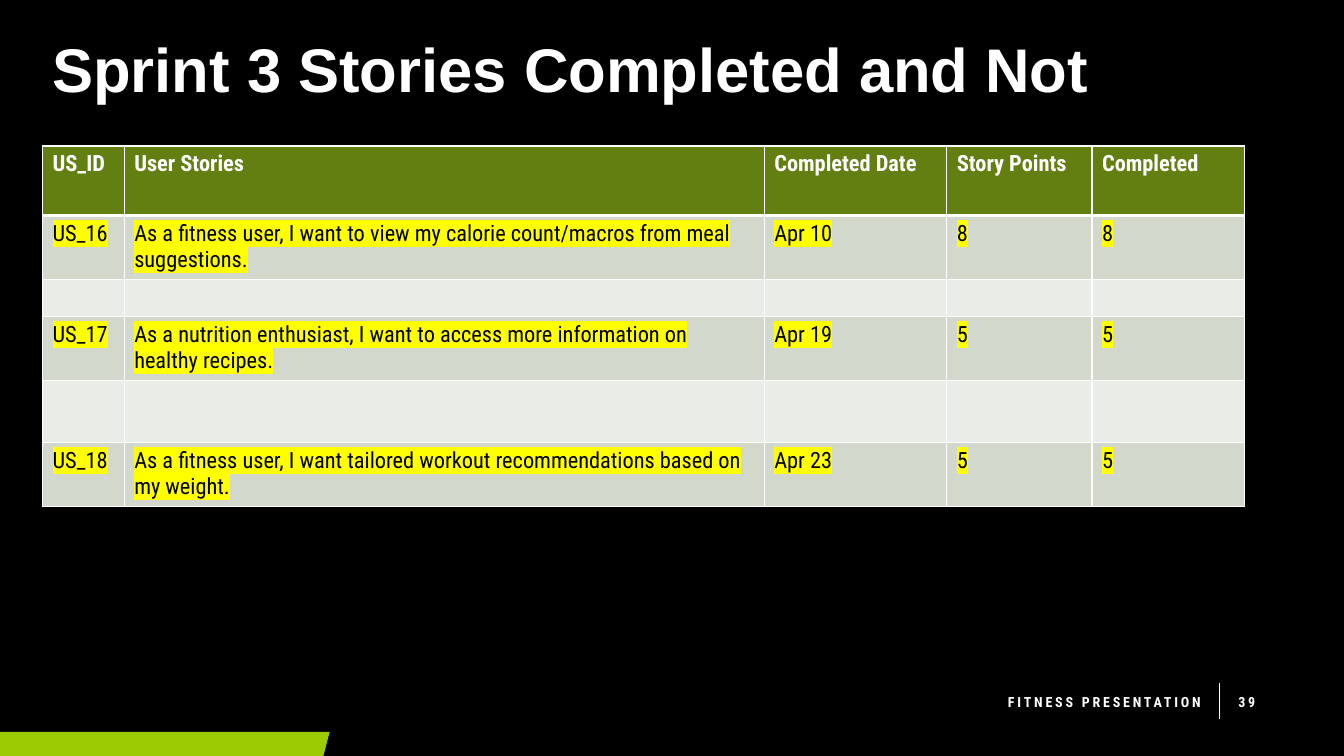
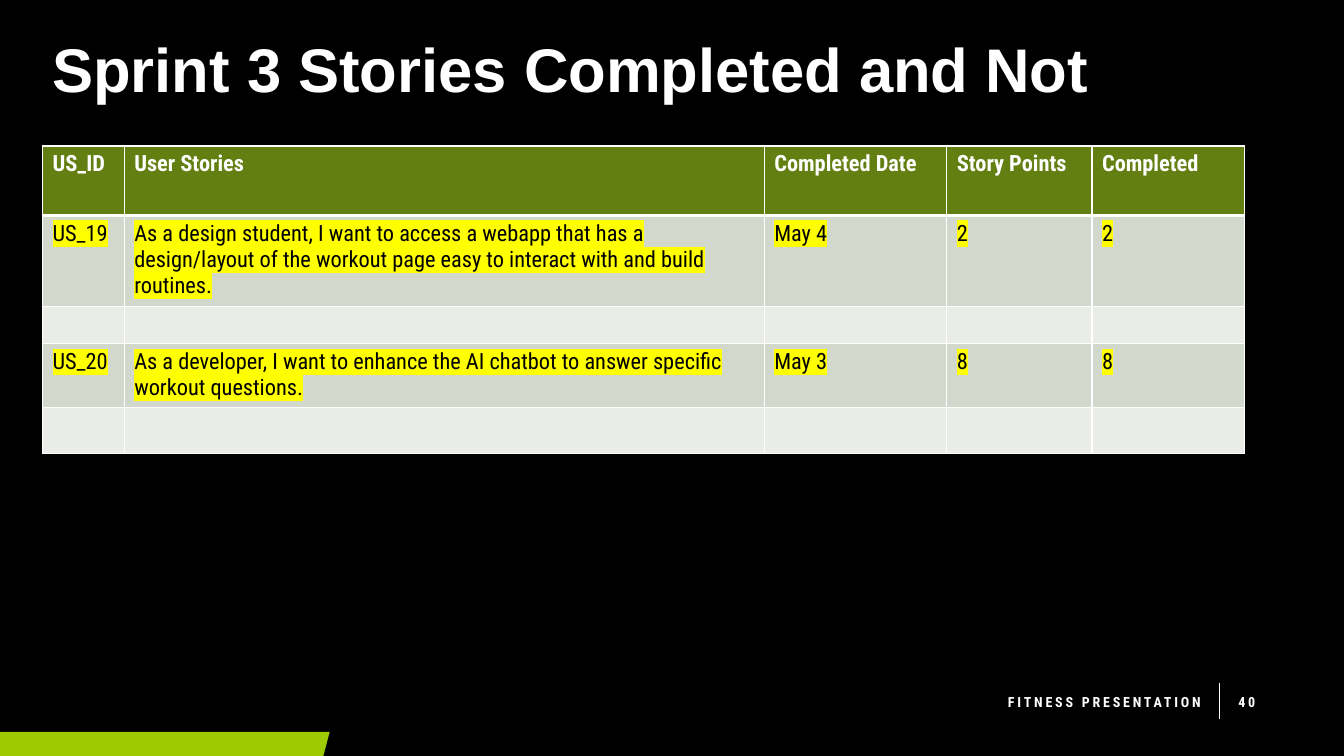
import dataclasses

import lxml.etree
import pptx
import pptx.dml.color
import pptx.enum.shapes
import pptx.enum.text
import pptx.oxml.ns
import pptx.slide
import pptx.table
import pptx.text.text
import pptx.util

Cm = pptx.util.Cm
Pt = pptx.util.Pt
RGBColor = pptx.dml.color.RGBColor
Align = pptx.enum.text.PP_ALIGN
qn = pptx.oxml.ns.qn

BLACK = RGBColor(0x00, 0x00, 0x00)
WHITE = RGBColor(0xFF, 0xFF, 0xFF)
LIME = RGBColor(0x9C, 0xCA, 0x03)
OLIVE = RGBColor(0x63, 0x7F, 0x12)
SAGE = RGBColor(0xD3, 0xD8, 0xCC)
PALE = RGBColor(0xEA, 0xEC, 0xE7)
YELLOW = RGBColor(0xFF, 0xFF, 0x00)

HEAD_FONT = "Arial"
BODY_FONT = "Roboto Condensed"
TITLE = "Sprint 3 Stories Completed and Not"
FOOTER = "FITNESS PRESENTATION"
HEADS = ("US_ID", "User Stories", "Completed Date", "Story Points", "Completed")
WIDTHS = (2.06, 16.13, 4.6, 3.66, 3.84)
LEFT = 1.07
TOP = 3.68


@dataclasses.dataclass(frozen=True)
class Style:
    size: float
    color: RGBColor
    font: str = BODY_FONT
    bold: bool = True
    space: int = 0
    mark: RGBColor | None = None


@dataclasses.dataclass(frozen=True)
class Box:
    left: float
    top: float
    width: float
    height: float


@dataclasses.dataclass(frozen=True)
class Row:
    height: float
    texts: tuple[str, ...] = ("",) * len(HEADS)
    fill: RGBColor = PALE
    rule: float = 1


@dataclasses.dataclass(frozen=True)
class Page:
    number: int
    rows: tuple[Row, ...]


TITLE_STYLE = Style(44, WHITE, HEAD_FONT)
FOOT_STYLE = Style(10, WHITE, space=200)
HEAD_STYLE = Style(16, WHITE)
STORY_STYLE = Style(16, BLACK, bold=False, mark=YELLOW)


def story(height: float, code: str, text: str, date: str, points: str) -> Row:
    return Row(height, (code, text, date, points, points), SAGE)


HEAD_ROW = Row(1.75, HEADS, OLIVE, 3)
PAGES = (
    Page(39, (
        story(1.57, "US_16", "As a fitness user, I want to view my calorie count/macros "
              "from meal suggestions.", "Apr 10", "8"),
        Row(0.92),
        story(1.57, "US_17", "As a nutrition enthusiast, I want to access more information "
              "on healthy recipes.", "Apr 19", "5"),
        Row(1.57),
        story(1.57, "US_18", "As a fitness user, I want tailored workout recommendations "
              "based on my weight.", "Apr 23", "5"),
    )),
    Page(40, (
        story(2.23, "US_19", "As a design student, I want to access a webapp that has a "
              "design/layout of the workout page easy to interact with and build routines.",
              "May 4", "2"),
        Row(0.94),
        story(1.57, "US_20", "As a developer, I want to enhance the AI chatbot to answer "
              "specific workout questions.", "May 3", "8"),
        Row(1.17),
    )),
)


def add_color(parent: lxml.etree._Element, color: RGBColor) -> None:
    lxml.etree.SubElement(parent, qn("a:srgbClr"), val=str(color))


def add_run(para: pptx.text.text._Paragraph, text: str, style: Style) -> None:
    run = para.add_run()
    run.text = text
    font = run.font
    font.size = Pt(style.size)
    font.bold = style.bold
    font.color.rgb = style.color
    props = run._r.get_or_add_rPr()
    if style.space:
        props.set("spc", str(style.space))
    if style.mark is not None:
        add_color(lxml.etree.SubElement(props, qn("a:highlight")), style.mark)
    font.name = style.font


def add_text(slide: pptx.slide.Slide, box: Box, text: str, style: Style,
             align: Align = Align.LEFT, line: float = 1.0) -> None:
    shape = slide.shapes.add_textbox(Cm(box.left), Cm(box.top), Cm(box.width), Cm(box.height))
    frame = shape.text_frame
    frame.word_wrap = True
    frame.vertical_anchor = pptx.enum.text.MSO_ANCHOR.MIDDLE
    para = frame.paragraphs[0]
    para.alignment = align
    para.line_spacing = line
    add_run(para, text, style)


def add_frame(slide: pptx.slide.Slide, number: int) -> None:
    back = slide.background.fill
    back.solid()
    back.fore_color.rgb = BLACK

    rule = slide.shapes.add_connector(
        pptx.enum.shapes.MSO_CONNECTOR.STRAIGHT, Cm(30.73), Cm(17.2), Cm(30.73), Cm(18.11))
    rule.line.color.rgb = WHITE
    rule.line.width = Pt(1)
    lxml.etree.SubElement(rule._element.spPr, qn("a:effectLst"))

    path = slide.shapes.build_freeform(0, Cm(18.44))
    path.add_line_segments(
        [(Cm(8.31), Cm(18.44)), (Cm(8.15), Cm(19.05)), (0, Cm(19.05))], close=True)
    band = path.convert_to_shape()
    band.shadow.inherit = False
    band.fill.solid()
    band.fill.fore_color.rgb = LIME
    band.line.fill.background()

    add_text(slide, Box(LEFT, 0, 30.51, TOP), TITLE, TITLE_STYLE, line=0.9)
    add_text(slide, Box(19.71, 17.17, 10.8, 1.02), FOOTER, FOOT_STYLE, Align.RIGHT)
    add_text(slide, Box(30.96, 17.17, 1.22, 1.02), str(number), FOOT_STYLE)


def set_edges(cell: pptx.table._Cell, top: float, base: float) -> None:
    props = cell._tc.get_or_add_tcPr()
    edges = (("L", 1), ("R", 1), ("T", top), ("B", base))
    for place, (side, width) in enumerate(edges):
        edge = lxml.etree.Element(qn(f"a:ln{side}"), w=str(Pt(width)))
        add_color(lxml.etree.SubElement(edge, qn("a:solidFill")), WHITE)
        props.insert(place, edge)


def fill_cell(cell: pptx.table._Cell, text: str, style: Style) -> None:
    para = cell.text_frame.paragraphs[0]
    if text:
        add_run(para, text, style)
        return
    end = lxml.etree.SubElement(para._p, qn("a:endParaRPr"), sz=str(style.size * 100))
    lxml.etree.SubElement(end, qn("a:latin"), typeface=style.font)


def add_grid(slide: pptx.slide.Slide, rows: tuple[Row, ...]) -> None:
    table = slide.shapes.add_table(
        len(rows), len(WIDTHS), Cm(LEFT), Cm(TOP),
        Cm(sum(WIDTHS)), Cm(sum(row.height for row in rows))).table
    table.horz_banding = False
    for column, width in zip(table.columns, WIDTHS):
        column.width = Cm(width)
    above = 1.0
    for line, row in zip(table.rows, rows):
        line.height = Cm(row.height)
        style = HEAD_STYLE if row is HEAD_ROW else STORY_STYLE
        for cell, text in zip(line.cells, row.texts):
            cell.fill.solid()
            cell.fill.fore_color.rgb = row.fill
            set_edges(cell, above, row.rule)
            fill_cell(cell, text, style)
        above = row.rule


def main() -> None:
    deck = pptx.Presentation()
    deck.slide_width = Cm(33.87)
    deck.slide_height = Cm(19.05)
    for page in PAGES:
        slide = deck.slides.add_slide(deck.slide_layouts[6])
        add_frame(slide, page.number)
        add_grid(slide, (HEAD_ROW, *page.rows))
    deck.save("out.pptx")


if __name__ == "__main__":
    main()
